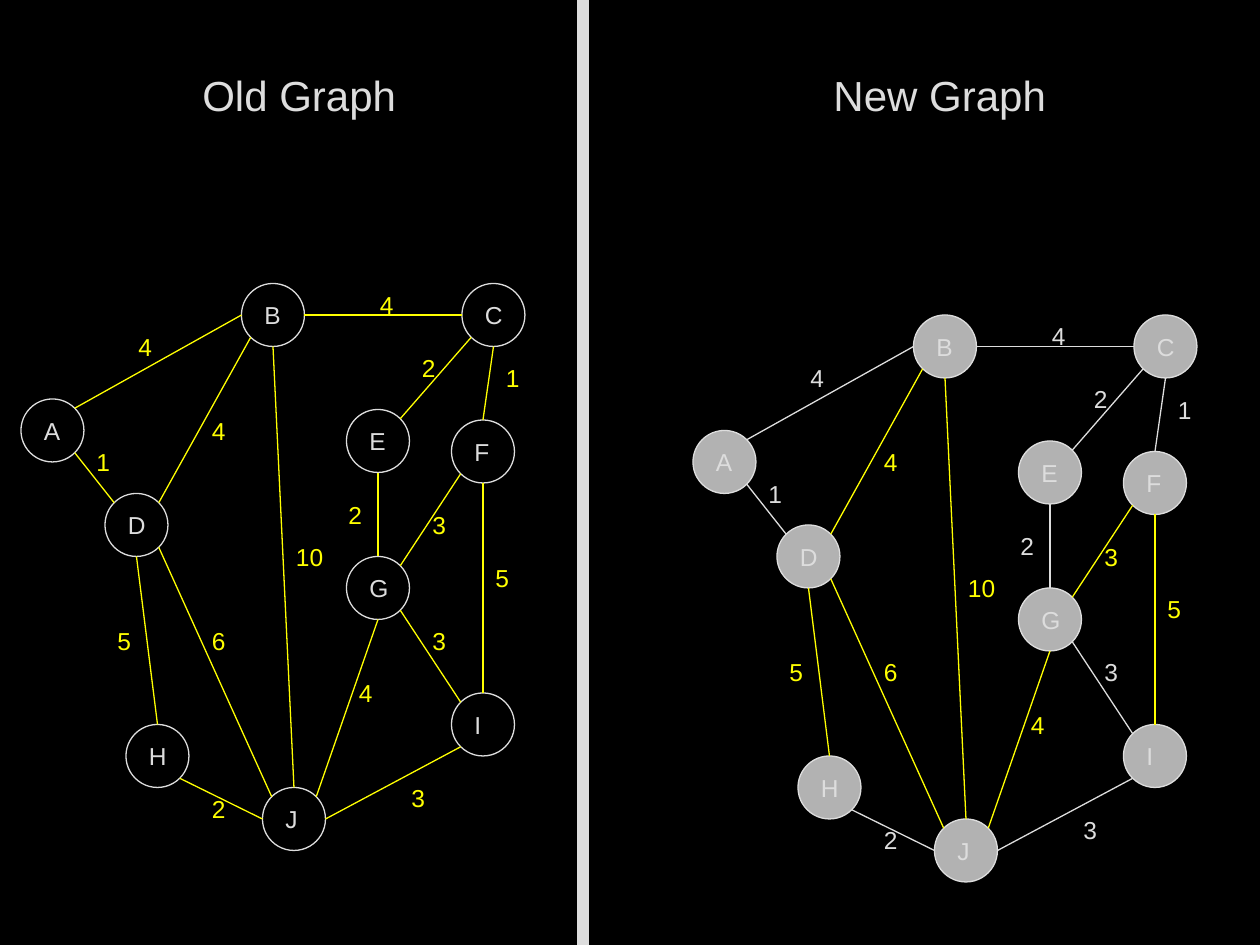
import math

import pptx
import pptx.dml.color
import pptx.enum.shapes
import pptx.enum.text
import pptx.oxml
import pptx.oxml.ns
import pptx.util

Pt = pptx.util.Pt

BLACK, LIGHT, GREY, YELLOW = "000000", "DDDDDD", "B2B2B2", "FFFF00"
DIAMETER = 36

# Left and top of each node
NODES = {
    "A": (12, 228), "B": (138, 162), "C": (264, 162), "D": (60, 282),
    "E": (198, 234), "F": (258, 240), "G": (198, 318), "H": (72, 414),
    "I": (258, 396), "J": (150, 450),
}

# Start node and side, end node and side, weight, left and top of the weight,
# and whether the edge stays highlighted in the new graph
EDGES = [
    ("B", "E", "C", "W", "4", 210, 162, False),
    ("B", "SW", "D", "NE", "4", 114, 234, True),
    ("D", "SE", "J", "NW", "6", 114, 354, True),
    ("J", "NE", "G", "S", "4", 198, 384, True),
    ("F", "SW", "G", "NE", "3", 240, 288, True),
    ("E", "S", "G", "N", "2", 192, 282, False),
    ("B", "S", "J", "N", "10", 162, 306, True),
    ("C", "SW", "E", "NE", "2", 234, 198, False),
    ("C", "S", "F", "N", "1", 282, 204, False),
    ("J", "E", "I", "SW", "3", 228, 444, False),
    ("J", "W", "H", "SE", "2", 114, 450, False),
    ("D", "NW", "A", "SE", "1", 48, 252, False),
    ("I", "NW", "G", "SE", "3", 240, 354, False),
    ("F", "S", "I", "N", "5", 276, 318, True),
    ("A", "NE", "B", "W", "4", 72, 186, False),
    ("D", "S", "H", "N", "5", 60, 354, True),
]

SIDES = ["E", "SE", "S", "SW", "W", "NW", "N", "NE"]

# Character widths in ems; digits take the default
EMS = {"A": 0.67, "B": 0.67, "C": 0.72, "D": 0.72, "E": 0.67,
       "F": 0.61, "G": 0.78, "H": 0.72, "I": 0.28, "J": 0.5}
DIGIT_EM = 0.56


def color(value):
    return pptx.dml.color.RGBColor.from_string(value)


def node_side(node, side):
    """Point on the rim of a node in a compass direction."""
    left, top = NODES[node]
    radius = DIAMETER / 2
    angle = math.radians(45 * SIDES.index(side))
    return (left + radius + radius * math.cos(angle),
            top + radius + radius * math.sin(angle))


class GraphSlide:
    font = "Arial"
    label_size = 14
    title_size = 24
    line_width = 0.75
    inset = 7.2

    def __init__(self, deck):
        self.slide = deck.slides.add_slide(deck.slide_layouts[6])
        self.shapes = self.slide.shapes
        background = self.slide.background.fill
        background.solid()
        background.fore_color.rgb = color(BLACK)

    def shape(self, kind, left, top, width, height, fill=None):
        shape = self.shapes.add_shape(kind, Pt(left), Pt(top), Pt(width), Pt(height))
        shape.shadow.inherit = False
        if fill:
            shape.fill.solid()
            shape.fill.fore_color.rgb = color(fill)
        else:
            shape.fill.background()
        shape.line.color.rgb = color(LIGHT)
        shape.line.width = Pt(self.line_width)

    def node(self, left, top, fill):
        self.shape(pptx.enum.shapes.MSO_SHAPE.OVAL, left, top, DIAMETER, DIAMETER, fill)

    def edge(self, start, end, ink):
        edge = self.shapes.add_connector(
            pptx.enum.shapes.MSO_CONNECTOR.STRAIGHT, *[Pt(v) for v in (*start, *end)])
        edge.line.color.rgb = color(ink)
        edge.line.width = Pt(self.line_width)
        properties = edge._element.spPr
        properties.append(pptx.oxml.parse_xml(
            "<a:effectLst %s/>" % pptx.oxml.ns.nsdecls("a")))

    def text(self, words, left, top, width, height, size, ink, wrap, align):
        box = self.shapes.add_textbox(Pt(left), Pt(top), Pt(width), Pt(height))
        frame = box.text_frame
        frame.word_wrap = wrap
        frame.auto_size = pptx.enum.text.MSO_AUTO_SIZE.SHAPE_TO_FIT_TEXT
        paragraph = frame.paragraphs[0]
        paragraph.alignment = align
        paragraph.space_before = Pt(size / 8)
        run = paragraph.add_run()
        run.text = words
        run.font.name = self.font
        run.font.size = Pt(size)
        run.font.color.rgb = color(ink)

    def label(self, words, left, top, ink):
        ems = sum(EMS.get(character, DIGIT_EM) for character in words)
        width = 2 * self.inset + self.label_size * ems
        self.text(words, left, top, width, 24.5, self.label_size, ink,
                  False, pptx.enum.text.PP_ALIGN.LEFT)

    def title(self, words, left):
        self.text(words, left, 36, 210, 36, self.title_size, LIGHT,
                  True, pptx.enum.text.PP_ALIGN.CENTER)

    def divider(self):
        self.shape(pptx.enum.shapes.MSO_SHAPE.RECTANGLE, 330, 0, 6, 540, LIGHT)

    def graph(self, dx, dy, node_fill, plain_ink):
        # Nodes
        for left, top in NODES.values():
            self.node(left + dx, top + dy, node_fill)
        # Edges with their weights
        for start, start_side, end, end_side, weight, left, top, kept in EDGES:
            ink = YELLOW if kept else plain_ink
            ends = [(x + dx, y + dy) for x, y in
                    (node_side(start, start_side), node_side(end, end_side))]
            self.edge(*ends, ink)
            self.label(weight, left + dx, top + dy, ink)
        # Node letters
        for letter, (left, top) in NODES.items():
            self.label(letter, left + dx + 6, top + dy + 6, LIGHT)


def main():
    deck = pptx.Presentation()
    deck.slide_width, deck.slide_height = Pt(720), Pt(540)
    page = GraphSlide(deck)

    # Old graph: every edge highlighted
    page.title("Old Graph", 66)
    page.graph(0, 0, None, YELLOW)

    page.divider()

    # New graph: only the remaining edges highlighted
    page.title("New Graph", 432)
    page.graph(384, 18, GREY, LIGHT)

    deck.save("out.pptx")


if __name__ == "__main__":
    main()
